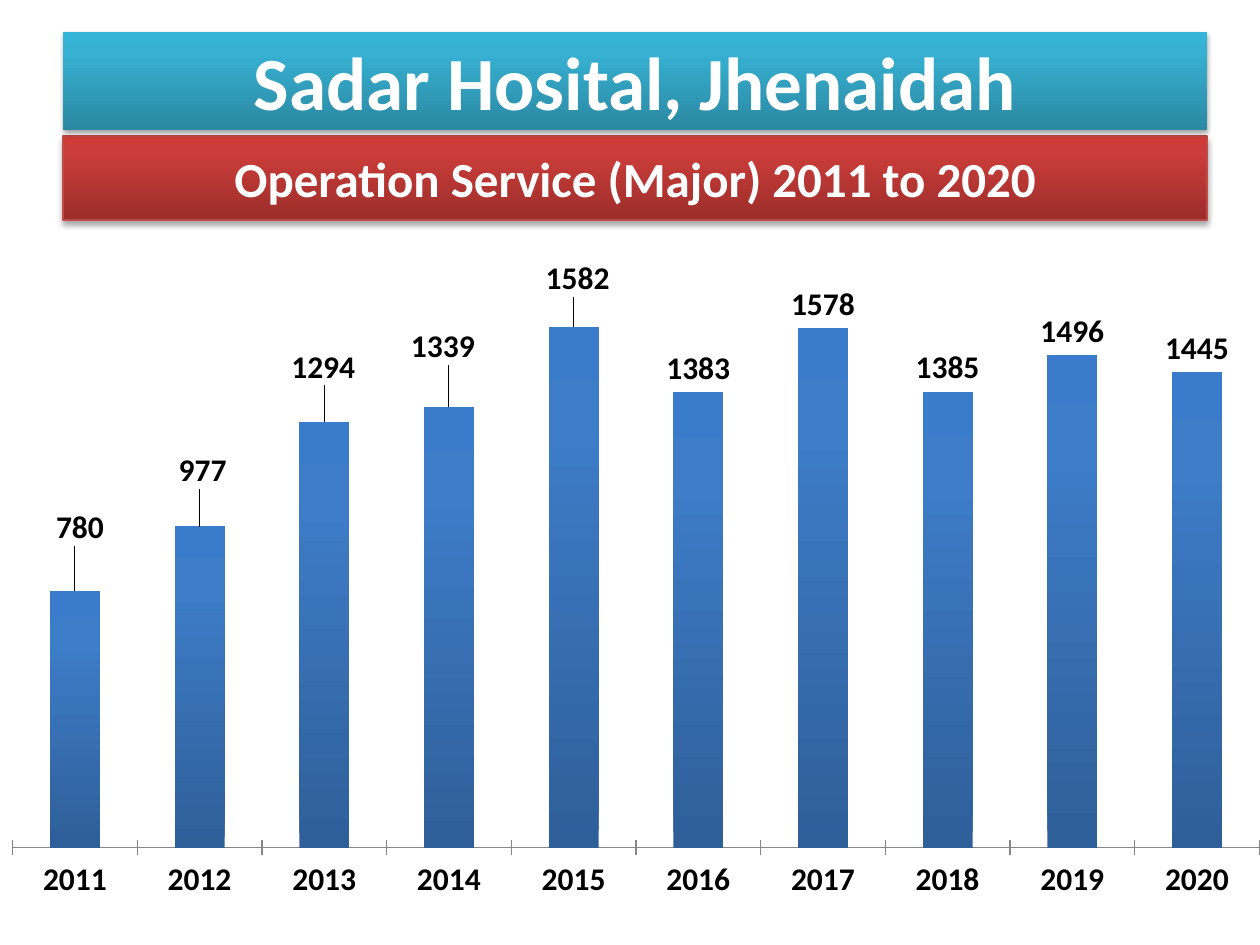
from copy import deepcopy
from dataclasses import dataclass

from lxml import etree
from pptx import Presentation
from pptx import util as u
from pptx.chart.data import CategoryChartData
from pptx.dml.color import RGBColor
from pptx.enum import chart as ch, shapes, text
from pptx.oxml import parse_xml
from pptx.oxml.ns import nsdecls, qn

PX = u.Inches(1) // 126
SLIDE_WIDTH, SLIDE_HEIGHT = 1260, 945
CHART_TOP = 231
CHART_HEIGHT = SLIDE_HEIGHT - CHART_TOP

SURGERIES = {
    "2011": 780, "2012": 977, "2013": 1294, "2014": 1339, "2015": 1582,
    "2016": 1383, "2017": 1578, "2018": 1385, "2019": 1496, "2020": 1445,
}
# Label shifts in px (right, down) for the first years
LABEL_SHIFTS = [(5, -40), (3, -32), (-1, -31), (-6, -37), (4, -25)]


@dataclass(frozen=True)
class Theme:
    font: str = "Calibri"
    white: str = "FFFFFF"
    black: str = "000000"
    axis: str = "868686"
    teal: tuple = ("2A88A2", "37B1D2", "34B4D6")
    red: tuple = ("9B2D2A", "CB3D3A", "CE3B37")
    red_edge: str = "BE4B48"
    blue: tuple = ("2F5F99", "3D7CC7", "3A7CCB")
    heading: float = 42.9
    subheading: float = 28
    label: float = 18


THEME = Theme()


def set_all(target, **values):
    for name, value in values.items():
        setattr(target, name, value)


def style_font(font, size, color, bold=True):
    set_all(font, name=THEME.font, size=u.Pt(size), bold=bold)
    font.color.rgb = RGBColor.from_string(color)


def fill_gradient(fill, properties, colors):
    """Fill upwards with three colours, at 0, 80 and 100 percent."""
    fill.gradient()
    fill.gradient_angle = 90
    stop_list = properties.find(".//" + qn("a:gsLst"))
    stop_list.append(deepcopy(stop_list[-1]))
    for stop, position, color in zip(fill.gradient_stops, (0, 0.8, 1), colors):
        stop.position = position
        stop.color.rgb = RGBColor.from_string(color)


def add_shadow(shape):
    shape.shadow.inherit = False
    effects = shape._element.spPr.find(qn("a:effectLst"))
    effects.append(parse_xml(
        f'<a:outerShdw {nsdecls("a")} blurRad="{u.Pt(3.1)}" dist="{u.Pt(1.8)}" '
        'dir="5400000" rotWithShape="0"><a:srgbClr val="000000">'
        '<a:alpha val="35000"/></a:srgbClr></a:outerShdw>'))


def add_banner(page, words, top, height, size, colors, edge=None):
    box = page.shapes.add_shape(
        shapes.MSO_SHAPE.RECTANGLE, 63 * PX, top * PX, 1144 * PX, height * PX)
    fill_gradient(box.fill, box._element.spPr, colors)
    add_shadow(box)
    if edge:
        box.line.color.rgb = RGBColor.from_string(edge)
        box.line.width = u.Pt(0.75)
    else:
        box.line.fill.background()
    frame = box.text_frame
    set_all(frame, word_wrap=True, vertical_anchor=text.MSO_ANCHOR.MIDDLE)
    para = frame.paragraphs[0]
    para.alignment = text.PP_ALIGN.CENTER
    span = para.add_run()
    span.text = words
    style_font(span.font, size, THEME.white)


def make_layout(**values):
    """Return a manual chart layout holding the given values in order."""
    layout = parse_xml(f'<c:layout {nsdecls("c")}><c:manualLayout/></c:layout>')
    for name, value in values.items():
        etree.SubElement(layout[0], qn(f"c:{name}")).set("val", str(value))
    return layout


def place_plot(chart):
    plot_area = chart._chartSpace.find(".//" + qn("c:plotArea"))
    for old in plot_area.findall(qn("c:layout")):
        plot_area.remove(old)
    plot_area.insert(0, make_layout(
        layoutTarget="inner", xMode="edge", yMode="edge",
        x=0.01, y=0.034, w=0.99, h=0.83))


def style_axes(chart):
    set_all(chart.value_axis, visible=False, has_major_gridlines=False,
            minimum_scale=0, maximum_scale=1800)
    years = chart.category_axis
    set_all(years, has_major_gridlines=False,
            major_tick_mark=ch.XL_TICK_MARK.CROSS)
    years.format.line.color.rgb = RGBColor.from_string(THEME.axis)
    style_font(years.tick_labels.font, THEME.label, THEME.black)


def label_bars(series):
    labels = series.data_labels
    set_all(labels, show_value=True, position=ch.XL_LABEL_POSITION.OUTSIDE_END)
    style_font(labels.font, THEME.label, THEME.black)
    for index, (right, down) in enumerate(LABEL_SHIFTS):
        label = series.points[index].data_label
        style_font(label.font, THEME.label, THEME.black)
        label.position = ch.XL_LABEL_POSITION.OUTSIDE_END
        element = series._element.findall(".//" + qn("c:dLbl"))[index]
        element.insert(1, make_layout(
            x=round(right / SLIDE_WIDTH, 4), y=round(down / CHART_HEIGHT, 4)))


def add_surgery_chart(page):
    data = CategoryChartData()
    data.categories = list(SURGERIES)
    data.add_series("Series 1", list(SURGERIES.values()))
    chart = page.shapes.add_chart(
        ch.XL_CHART_TYPE.COLUMN_CLUSTERED, 0, CHART_TOP * PX,
        SLIDE_WIDTH * PX, CHART_HEIGHT * PX, data).chart
    set_all(chart, has_legend=False, has_title=False)
    style_font(chart.font, THEME.label, THEME.black, bold=False)
    place_plot(chart)
    style_axes(chart)
    plot = chart.plots[0]
    set_all(plot, gap_width=150, vary_by_categories=False)
    series = plot.series[0]
    fill_gradient(series.format.fill, series._element, THEME.blue)
    label_bars(series)


def main():
    deck = Presentation()
    set_all(deck, slide_width=SLIDE_WIDTH * PX, slide_height=SLIDE_HEIGHT * PX)
    page = deck.slides.add_slide(deck.slide_layouts[6])
    add_banner(page, "Operation Service (Major) 2011 to 2020", 136, 84,
               THEME.subheading, THEME.red, THEME.red_edge)
    add_surgery_chart(page)
    add_banner(page, "Sadar Hosital, Jhenaidah", 32, 98,
               THEME.heading, THEME.teal)
    deck.save("out.pptx")


if __name__ == "__main__":
    main()
